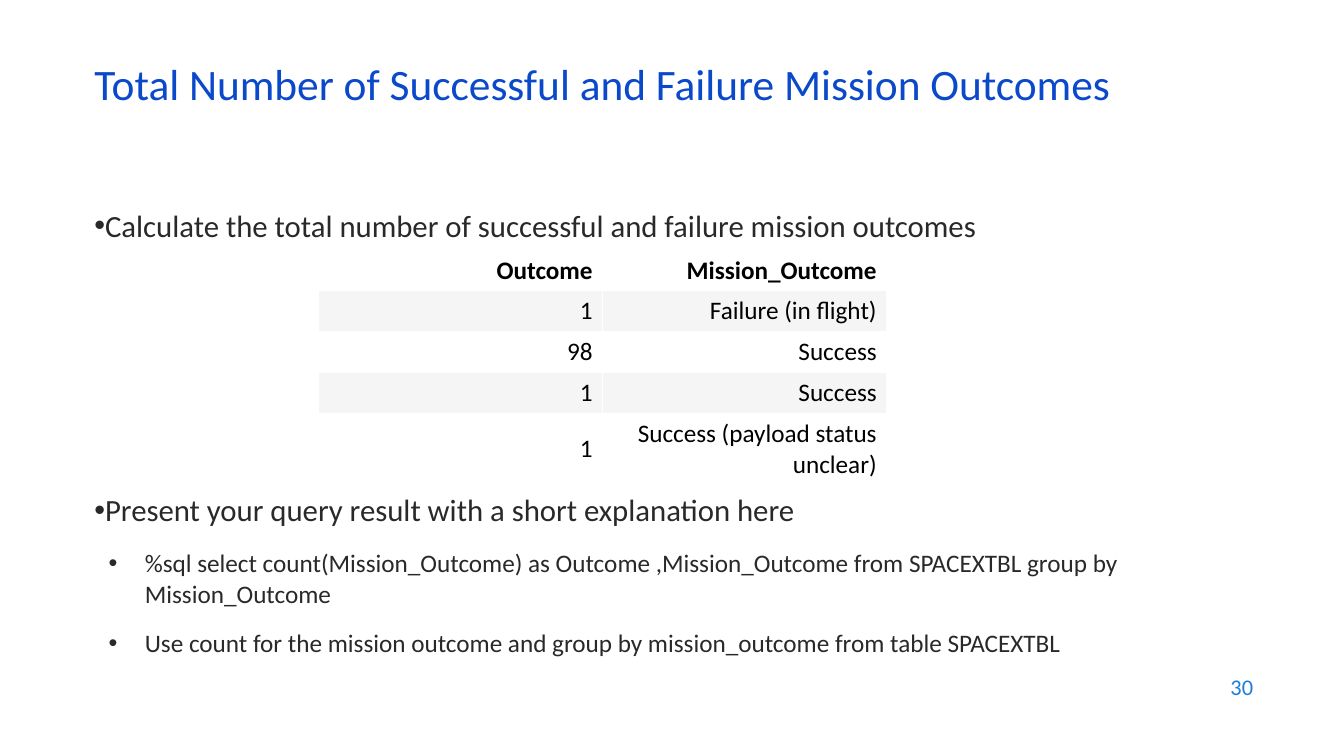
from dataclasses import dataclass

from lxml.etree import SubElement
from pptx import Presentation
from pptx.dml.color import RGBColor as Rgb
from pptx.enum.text import MSO_ANCHOR as Anchor, PP_ALIGN as Align
from pptx.oxml.ns import qn
from pptx.util import Cm, Pt


@dataclass(frozen=True)
class Theme:
    font: str = "Calibri"
    title: str = "0B49CB"
    body: str = "292929"
    number: str = "1C7DDB"
    cell: str = "000000"
    bands: tuple = ("FFFFFF", "F5F5F5")
    title_size: int = 31
    body_size: int = 22
    detail_size: int = 18
    number_size: int = 16


THEME = Theme()


def write(paragraph, text, *, size, color, bold=False, align=Align.LEFT,
          line=None, before=0, bullet=None):
    """Fill a paragraph; bullet is a (margin, indent) pair in centimetres."""
    if bullet:
        margin, indent = bullet
        props = paragraph._p.get_or_add_pPr()
        props.set("marL", str(Cm(margin)))
        props.set("indent", str(Cm(indent)))
        SubElement(props, qn("a:buFont"), typeface="Arial")
        SubElement(props, qn("a:buChar"), char="•")
    paragraph.alignment = align
    if line:
        paragraph.line_spacing = line
    if before:
        paragraph.space_before = Pt(before)
    run = paragraph.add_run()
    run.text = text
    font = run.font
    font.name, font.size, font.bold = THEME.font, Pt(size), bold
    font.color.rgb = Rgb.from_string(color)


class SlideBuilder:
    def __init__(self, slide, theme):
        self.slide, self.theme = slide, theme

    def text(self, left, top, width, height, lines, anchor=Anchor.TOP):
        """Add a text box from (text, format) pairs."""
        box = self.slide.shapes.add_textbox(Cm(left), Cm(top), Cm(width), Cm(height))
        frame = box.text_frame
        frame.word_wrap = True
        frame.vertical_anchor = anchor
        for index, (words, style) in enumerate(lines):
            paragraph = frame.add_paragraph() if index else frame.paragraphs[0]
            write(paragraph, words, **style)

    def table(self, left, top, column_width, row_heights, rows):
        """Add a banded, right-aligned table with a bold heading row."""
        columns = len(rows[0])
        grid = self.slide.shapes.add_table(
            len(rows), columns, Cm(left), Cm(top),
            Cm(column_width * columns), Cm(sum(row_heights))).table
        for column in grid.columns:
            column.width = Cm(column_width)
        for r, values in enumerate(rows):
            grid.rows[r].height = Cm(row_heights[r])
            for c, value in enumerate(values):
                cell = grid.cell(r, c)
                cell.fill.solid()
                cell.fill.fore_color.rgb = Rgb.from_string(self.theme.bands[r % 2])
                cell.vertical_anchor = Anchor.MIDDLE
                write(cell.text_frame.paragraphs[0], value,
                      size=self.theme.detail_size, color=self.theme.cell,
                      bold=r == 0, align=Align.RIGHT)


def main():
    deck = Presentation()
    deck.slide_width, deck.slide_height = Cm(33.87), Cm(19.05)
    page = SlideBuilder(deck.slides.add_slide(deck.slide_layouts[6]), THEME)

    point = dict(size=THEME.body_size, color=THEME.body, bullet=(0, 0))
    detail = dict(size=THEME.detail_size, color=THEME.body,
                  before=14, bullet=(1.27, -0.91))
    left, body_width = 2.13, 27.08

    # Title
    page.text(left, 1.5, 29.21, 1.52, [
        ("Total Number of Successful and Failure Mission Outcomes",
         dict(size=THEME.title_size, color=THEME.title, line=0.7)),
    ], Anchor.MIDDLE)

    # Task
    page.text(left, 5.08, body_width, 1.2, [
        ("Calculate the total number of successful and failure mission outcomes", point),
    ])

    # Query result
    page.table(8.03, 6.3, 7.16, [1.03] * 4 + [1.75], [
        ("Outcome", "Mission_Outcome"),
        ("1", "Failure (in flight)"),
        ("98", "Success"),
        ("1", "Success"),
        ("1", "Success (payload status unclear)"),
    ])

    # Explanation
    page.text(left, 12.25, body_width, 4.92, [
        ("Present your query result with a short explanation here", point),
        ("%sql select count(Mission_Outcome) as Outcome ,Mission_Outcome "
         "from SPACEXTBL group by Mission_Outcome", detail),
        ("Use count for the mission outcome and group by mission_outcome "
         "from table SPACEXTBL", detail),
    ])

    # Slide number
    page.text(24.21, 16.74, 7.62, 1.12, [
        ("30", dict(size=THEME.number_size, color=THEME.number, align=Align.RIGHT)),
    ], Anchor.MIDDLE)

    deck.save("out.pptx")


if __name__ == "__main__":
    main()
